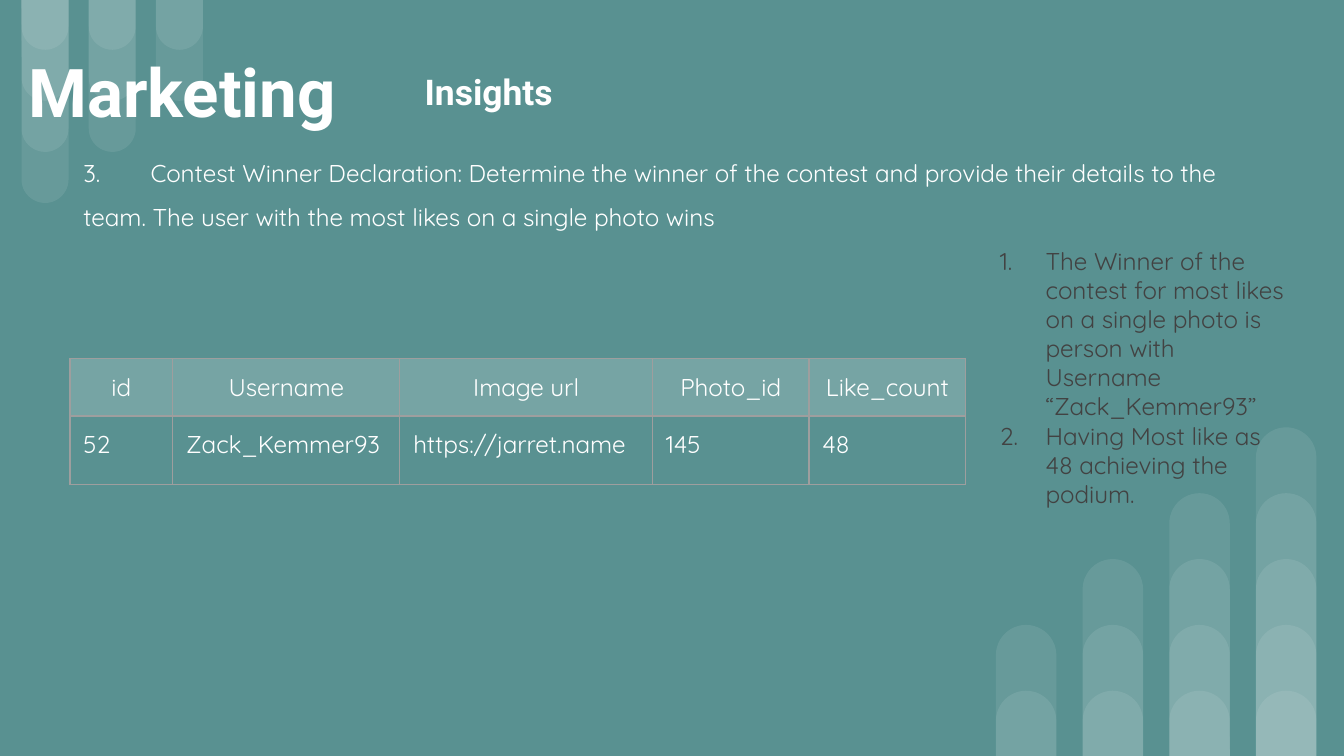
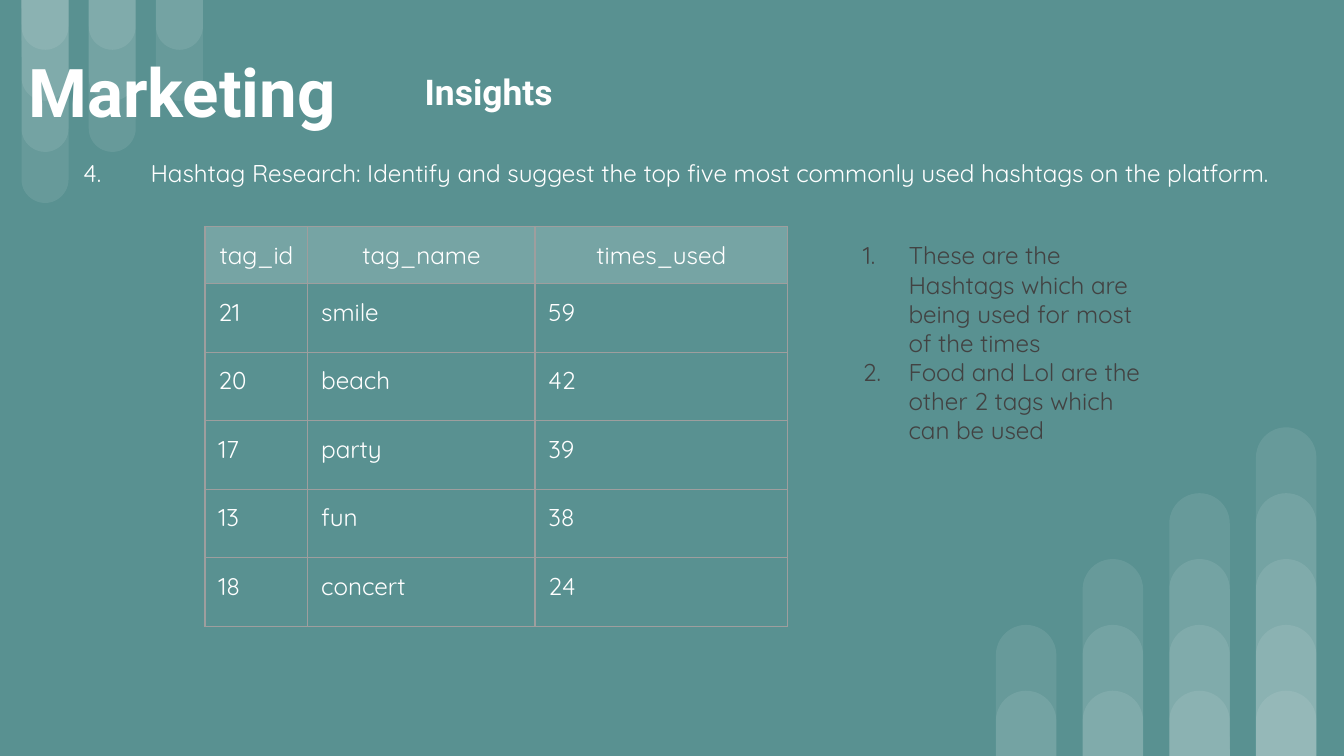
from dataclasses import dataclass
from typing import Any, NamedTuple

from lxml.etree import SubElement
from pptx import Presentation
from pptx.dml.color import RGBColor
from pptx.enum.shapes import MSO_SHAPE
from pptx.enum.text import MSO_ANCHOR, MSO_AUTO_SIZE, PP_ALIGN
from pptx.oxml import parse_xml
from pptx.oxml.ns import nsdecls, qn
from pptx.util import Emu, Pt

PX = 4572
SLIDE_WIDTH, SLIDE_HEIGHT = 2000, 1125
INSET = 20
COLORS = {
    "background": "599191",
    "white": "FFFFFF",
    "header": "76A4A4",
    "border": "9E9E9E",
    "list": "424242",
}
BAR_OPACITY = 9
HEADER_HEIGHT, ROW_HEIGHT = 76, 102
COMPARISON_LAYOUT = 4


class Box(NamedTuple):
    left: int
    top: int
    width: int
    height: int


class TextStyle(NamedTuple):
    font: str
    size: int
    color: str
    bold: bool = False


TITLE_STYLE = TextStyle("Roboto", 36, "white", True)
SUBTITLE_STYLE = TextStyle("Roboto", 19, "white", True)
BODY_STYLE = TextStyle("Quicksand", 13, "white")
LIST_STYLE = TextStyle("Quicksand", 13, "list")

TITLE_BOX = Box(22, -16, 1096, 302)
SUBTITLE_BOX = Box(612, 62, 560, 148)
TASK_BOX = Box(104, 194, 1812, 118)


@dataclass(frozen=True)
class BarCluster:
    left: int
    step: int
    width: int
    unit: int
    trim: int
    counts: tuple[int, ...]
    hanging: bool


BAR_CLUSTERS = (
    BarCluster(32, 100, 70, 76, 2, (4, 3, 2), True),
    BarCluster(1482, 129, 90, 98, 1, (2, 3, 4, 5), False),
)


@dataclass(frozen=True)
class Insight:
    task: str
    table_left: int
    table_top: int
    column_widths: tuple[int, ...]
    rows: tuple[tuple[str, ...], ...]
    findings_box: Box
    findings: tuple[str, ...]


INSIGHTS = (
    Insight(
        "3.\tContest Winner Declaration: Determine the winner of the contest and provide "
        "their details to the team. The user with the most likes on a single photo wins",
        104, 534, (153, 338, 376, 233, 233),
        (
            ("id", "Username", "Image url", "Photo_id", "Like_count"),
            ("52", "Zack_Kemmer93", "https://jarret.name", "145", "48"),
        ),
        Box(1436, 346, 502, 622),
        (
            "The Winner of the contest for most likes on a single photo is person "
            "with Username “Zack_Kemmer93”",
            "Having Most like as 48 achieving the podium.",
        ),
    ),
    Insight(
        "4.\tHashtag Research: Identify and suggest the top five most commonly used "
        "hashtags on the platform.",
        305, 337, (153, 338, 376),
        (
            ("tag_id", "tag_name", "times_used"),
            ("21", "smile", "59"),
            ("20", "beach", "42"),
            ("17", "party", "39"),
            ("13", "fun", "38"),
            ("18", "concert", "24"),
        ),
        Box(1232, 338, 502, 622),
        (
            "These are the Hashtags which are being used for most of the times",
            "Food and Lol are the other 2 tags which can be used",
        ),
    ),
)


def px(length: int) -> Emu:
    return Emu(length * PX)


def rgb(name: str) -> RGBColor:
    return RGBColor.from_string(COLORS[name])


def format_paragraph(paragraph: Any, style: TextStyle, align: PP_ALIGN = PP_ALIGN.LEFT) -> None:
    paragraph.alignment = align
    paragraph.space_before = Pt(0)
    font = paragraph.font
    font.name, font.size, font.bold = style.font, Pt(style.size), style.bold
    font.color.rgb = rgb(style.color)


def place_text(shape: Any, box: Box, anchor: MSO_ANCHOR) -> Any:
    shape.left, shape.top, shape.width, shape.height = map(px, box)
    frame = shape.text_frame
    frame.word_wrap = True
    frame.auto_size = MSO_AUTO_SIZE.NONE
    frame.vertical_anchor = anchor
    frame.margin_left = frame.margin_right = px(INSET)
    frame.margin_top = frame.margin_bottom = px(INSET)
    return frame


def fill_heading(shape: Any, box: Box, text: str, style: TextStyle) -> None:
    frame = place_text(shape, box, MSO_ANCHOR.MIDDLE)
    frame.text = text
    format_paragraph(frame.paragraphs[0], style)


def fill_task(shape: Any, text: str) -> None:
    frame = place_text(shape, TASK_BOX, MSO_ANCHOR.TOP)
    frame.text = text
    paragraph = frame.paragraphs[0]
    properties = paragraph._p.get_or_add_pPr()
    tabs = SubElement(properties, qn("a:tabLst"))
    SubElement(tabs, qn("a:tab"), pos=str(px(64)), algn="l")
    format_paragraph(paragraph, BODY_STYLE)
    paragraph.line_spacing = 1.5
    paragraph.space_before = Pt(12)


def fill_findings(shape: Any, box: Box, findings: tuple[str, ...]) -> None:
    frame = place_text(shape, box, MSO_ANCHOR.TOP)
    frame.text = "\n".join(findings)
    for paragraph in frame.paragraphs:
        properties = paragraph._p.get_or_add_pPr()
        properties.set("marL", str(px(100)))
        properties.set("indent", str(px(-68)))
        bullet_color = SubElement(properties, qn("a:buClr"))
        SubElement(bullet_color, qn("a:srgbClr"), val=COLORS["list"])
        SubElement(properties, qn("a:buFont"), typeface=LIST_STYLE.font)
        SubElement(properties, qn("a:buAutoNum"), type="arabicPeriod")
        format_paragraph(paragraph, LIST_STYLE)


def set_borders(cell: Any) -> None:
    properties = cell._tc.get_or_add_tcPr()
    for index, side in enumerate(("lnL", "lnR", "lnT", "lnB")):
        line = parse_xml(
            f'<a:{side} {nsdecls("a")} w="{Pt(0.75)}"><a:solidFill>'
            f'<a:srgbClr val="{COLORS["border"]}"/></a:solidFill></a:{side}>'
        )
        properties.insert(index, line)


def add_result_table(slide: Any, insight: Insight) -> None:
    heights = [HEADER_HEIGHT] + [ROW_HEIGHT] * (len(insight.rows) - 1)
    box = Box(insight.table_left, insight.table_top, sum(insight.column_widths), sum(heights))
    table = slide.shapes.add_table(len(heights), len(insight.column_widths), *map(px, box)).table
    table.first_row = table.horz_banding = False
    for column, width in zip(table.columns, insight.column_widths):
        column.width = px(width)
    for row_index, (row, height, values) in enumerate(zip(table.rows, heights, insight.rows)):
        row.height = px(height)
        for cell, value in zip(row.cells, values):
            cell.text = value
            cell.margin_left = cell.margin_right = px(INSET)
            cell.margin_top = cell.margin_bottom = px(INSET)
            is_header = row_index == 0
            align = PP_ALIGN.CENTER if is_header else PP_ALIGN.LEFT
            format_paragraph(cell.text_frame.paragraphs[0], BODY_STYLE, align)
            if is_header:
                cell.fill.solid()
                cell.fill.fore_color.rgb = rgb("header")
            else:
                cell.fill.background()
            set_borders(cell)


def add_bar(shapes: Any, box: Box, hanging: bool) -> None:
    bar = shapes.add_shape(MSO_SHAPE.ROUND_2_SAME_RECTANGLE, *map(px, box))
    bar.adjustments[0], bar.adjustments[1] = 0.5, 0
    bar.rotation = 180 if hanging else 0
    bar.shadow.inherit = False
    bar.fill.solid()
    bar.fill.fore_color.rgb = rgb("white")
    bar.line.fill.background()
    color = bar.element.spPr.find(qn("a:solidFill"))[0]
    SubElement(color, qn("a:alpha"), val=str(BAR_OPACITY * 1000))


def add_bar_cluster(slide: Any, cluster: BarCluster) -> Any:
    group = slide.shapes.add_group_shape()
    for column, count in enumerate(cluster.counts):
        left = cluster.left + column * cluster.step
        for level in range(1, count + 1):
            height = level * cluster.unit - cluster.trim
            top = 0 if cluster.hanging else SLIDE_HEIGHT - height
            add_bar(group.shapes, Box(left, top, cluster.width, height), cluster.hanging)
    return group


def decorate_layout(layout: Any, slide: Any) -> None:
    layout.background.fill.solid()
    layout.background.fill.fore_color.rgb = rgb("background")
    for placeholder in list(layout.placeholders):
        if placeholder.placeholder_format.idx >= 10:
            layout.shapes.element.remove(placeholder.element)
    groups = [add_bar_cluster(slide, cluster) for cluster in BAR_CLUSTERS]
    for index, group in enumerate(groups, start=2):
        layout.shapes.element.insert(index, group.element)


def fill_slide(slide: Any, insight: Insight) -> None:
    placeholders = {shape.placeholder_format.idx: shape for shape in slide.placeholders}
    unused = placeholders[4].element
    unused.getparent().remove(unused)
    fill_heading(placeholders[0], TITLE_BOX, "Marketing", TITLE_STYLE)
    fill_heading(placeholders[1], SUBTITLE_BOX, "Insights", SUBTITLE_STYLE)
    fill_task(placeholders[3], insight.task)
    fill_findings(placeholders[2], insight.findings_box, insight.findings)
    add_result_table(slide, insight)


def main() -> None:
    presentation = Presentation()
    presentation.slide_width, presentation.slide_height = px(SLIDE_WIDTH), px(SLIDE_HEIGHT)
    layout = presentation.slide_layouts[COMPARISON_LAYOUT]
    slides = [presentation.slides.add_slide(layout) for _ in INSIGHTS]
    decorate_layout(layout, slides[0])
    for slide, insight in zip(slides, INSIGHTS):
        fill_slide(slide, insight)
    presentation.save("out.pptx")


if __name__ == "__main__":
    main()
